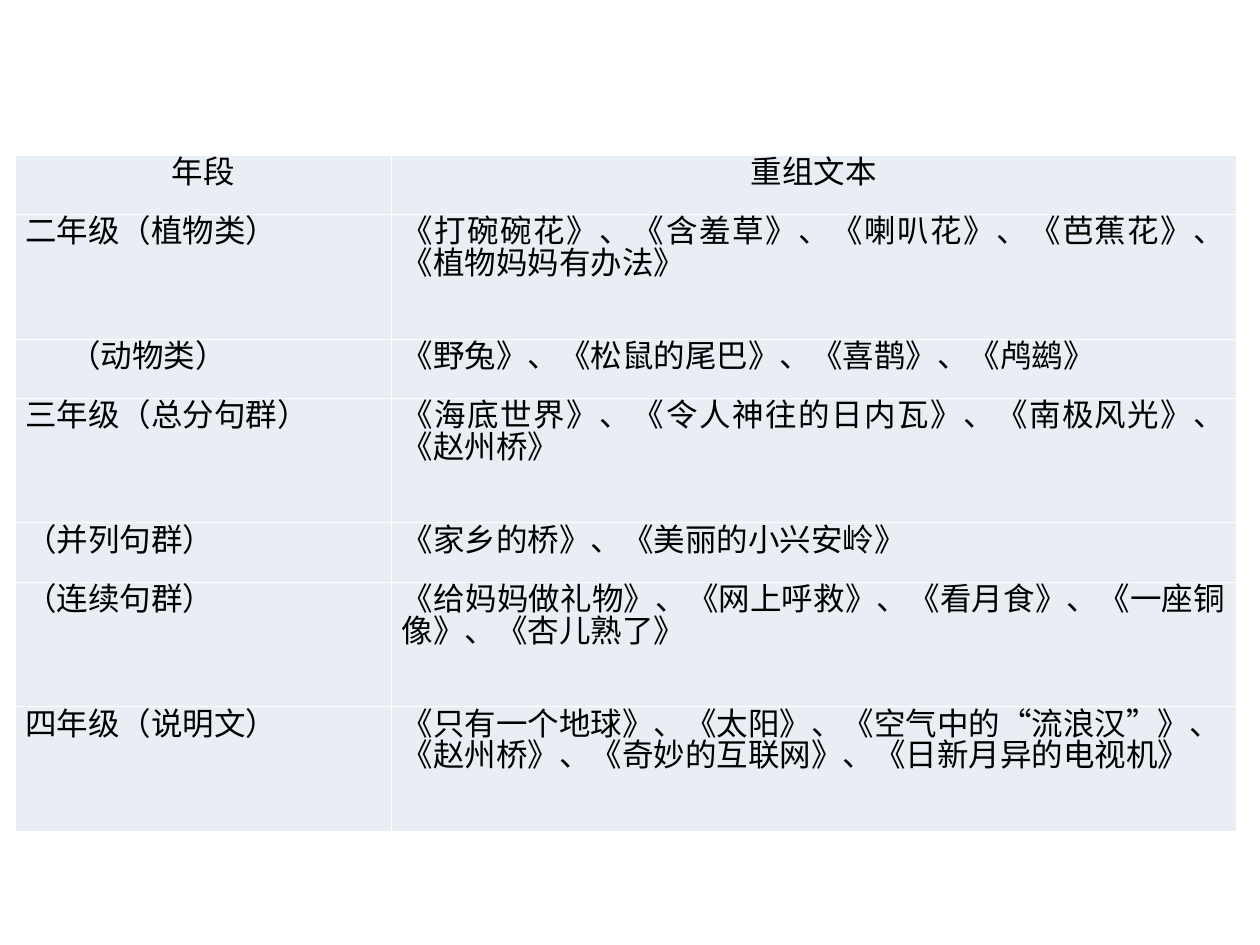
from lxml import etree
from pptx import Presentation
from pptx.dml.color import RGBColor
from pptx.enum.text import PP_ALIGN
from pptx.oxml.ns import qn
from pptx.util import Inches, Pt

CENTER, JUSTIFY = PP_ALIGN.CENTER, PP_ALIGN.JUSTIFY
BLACK = RGBColor(0x00, 0x00, 0x00)
WHITE = RGBColor(0xFF, 0xFF, 0xFF)
PALE_BLUE = RGBColor(0xE9, 0xED, 0xF4)
FONT = "Calibri"

COLUMN_WIDTHS = (2.99, 6.7)
SHORT_ROW, TALL_ROW = 0.47, 0.99
ANIMAL_ROW = 2

# Row height, grade, texts
ROWS = [
    (SHORT_ROW, "年段", "重组文本"),
    (TALL_ROW, "二年级（植物类）",
     "《打碗碗花》、《含羞草》、《喇叭花》、《芭蕉花》、《植物妈妈有办法》"),
    (SHORT_ROW, "（动物类）", "《野兔》、《松鼠的尾巴》、《喜鹊》、《鸬鹚》"),
    (TALL_ROW, "三年级（总分句群）",
     "《海底世界》、《令人神往的日内瓦》、《南极风光》、《赵州桥》"),
    (SHORT_ROW, "（并列句群）", "《家乡的桥》、《美丽的小兴安岭》"),
    (TALL_ROW, "（连续句群）",
     "《给妈妈做礼物》、《网上呼救》、《看月食》、《一座铜像》、《杏儿熟了》"),
    (TALL_ROW, "四年级（说明文）",
     "《只有一个地球》、《太阳》、《空气中的“流浪汉”》、\n"
     "《赵州桥》、《奇妙的互联网》、《日新月异的电视机》"),
]


def add_borders(cell, color, width):
    properties = cell._tc.get_or_add_tcPr()
    for side in ("a:lnL", "a:lnR", "a:lnT", "a:lnB"):
        line = etree.SubElement(properties, qn(side), w=str(int(width)))
        fill = etree.SubElement(line, qn("a:solidFill"))
        etree.SubElement(fill, qn("a:srgbClr"), val=str(color))


def fill_cell(cell, text, alignment):
    add_borders(cell, WHITE, Pt(0.45))
    cell.fill.solid()
    cell.fill.fore_color.rgb = PALE_BLUE
    cell.margin_left = cell.margin_right = Inches(0.08)
    cell.margin_top = cell.margin_bottom = Inches(0.05)
    cell.text_frame.text = text
    for paragraph in cell.text_frame.paragraphs:
        paragraph.alignment = alignment
        paragraph.line_spacing = Pt(18)
        for run in paragraph.runs:
            run.font.name = FONT
            run.font.size = Pt(18)
            run.font.bold = False
            run.font.color.rgb = BLACK


def indent_cell(cell, indent):
    for paragraph in cell.text_frame.paragraphs:
        paragraph._p.get_or_add_pPr().set("marL", str(int(indent)))


def add_reading_table(slide):
    height = sum(row[0] for row in ROWS)
    table = slide.shapes.add_table(
        len(ROWS), len(COLUMN_WIDTHS), Inches(0.12), Inches(1.23),
        Inches(sum(COLUMN_WIDTHS)), Inches(height)).table
    table.first_row = False
    table.horz_banding = False
    for column, width in zip(table.columns, COLUMN_WIDTHS):
        column.width = Inches(width)
    for index, (row_height, *texts) in enumerate(ROWS):
        table.rows[index].height = Inches(row_height)
        alignment = JUSTIFY if index else CENTER
        for cell, text in zip(table.rows[index].cells, texts):
            fill_cell(cell, text, alignment)
    # The animal group sits under the second grade
    indent_cell(table.cell(ANIMAL_ROW, 0), Inches(0.35))


def main():
    presentation = Presentation()
    presentation.slide_width = Inches(10)
    presentation.slide_height = Inches(7.5)
    slide = presentation.slides.add_slide(presentation.slide_layouts[6])
    add_reading_table(slide)
    presentation.save("out.pptx")


if __name__ == "__main__":
    main()
